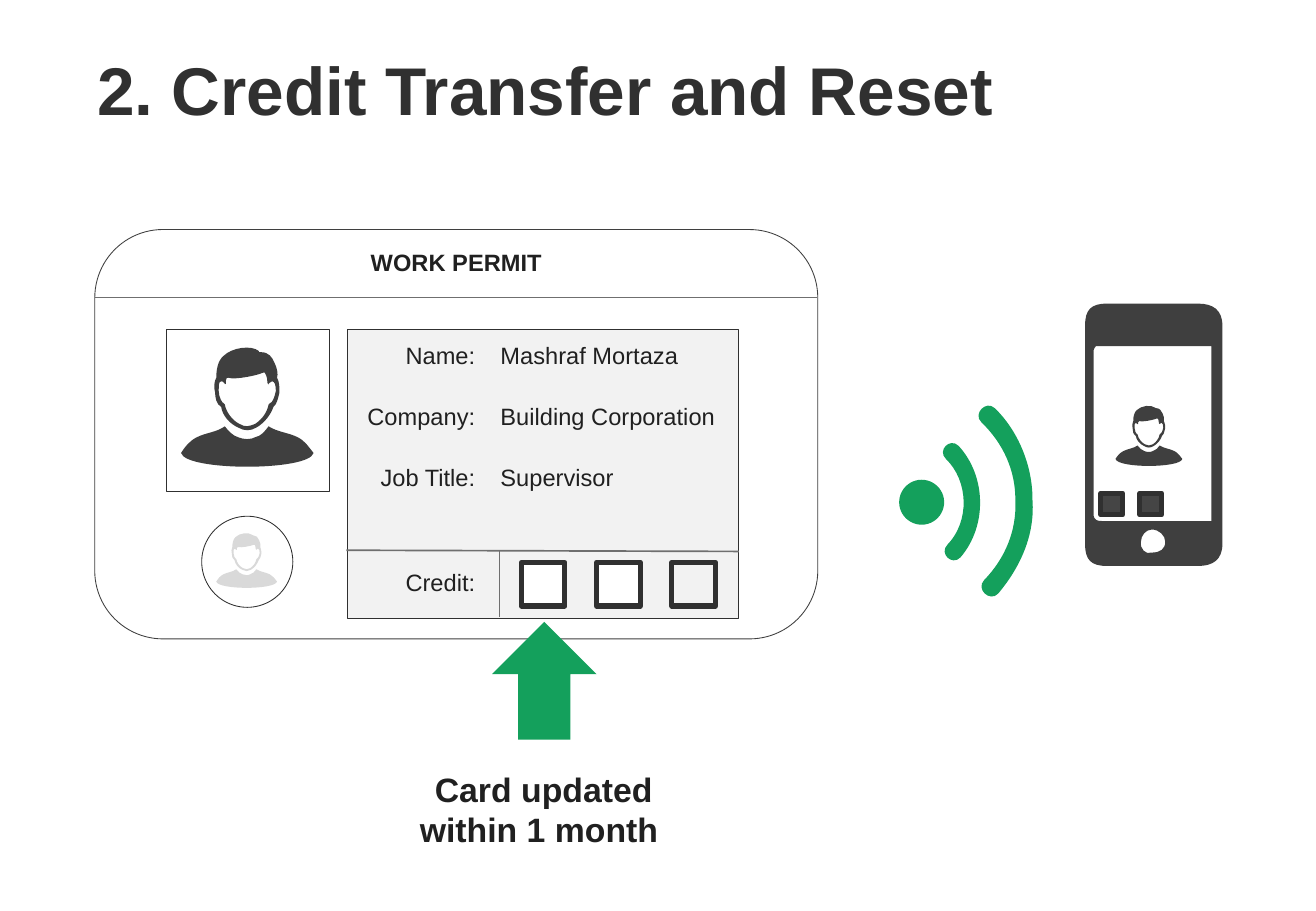
from lxml.etree import SubElement
from pptx import Presentation
from pptx.dml.color import RGBColor
from pptx.enum.shapes import MSO_CONNECTOR, MSO_SHAPE
from pptx.enum.text import MSO_ANCHOR, PP_ALIGN
from pptx.oxml.ns import qn
from pptx.util import Pt

PX = 9144
GREEN = RGBColor(0x14, 0xA0, 0x5C)
DARK = RGBColor(0x3F, 0x3F, 0x3F)
OUTLINE = RGBColor(0x30, 0x30, 0x30)
RULE = RGBColor(0x6F, 0x6F, 0x6F)
INK = RGBColor(0x20, 0x20, 0x20)
PANEL = RGBColor(0xF2, 0xF2, 0xF2)
PALE = RGBColor(0xD9, 0xD9, 0xD9)
USED = RGBColor(0x45, 0x45, 0x45)
WHITE = RGBColor(0xFF, 0xFF, 0xFF)

PERSON_WIDTH = 109
PERSON = [
    [(61, 76), (66, 75, 69, 71, 72, 67), (80, 72, 88, 72, 96, 76),
     (102, 79, 105, 84, 109, 89), (105, 104, 4, 104, 0, 89),
     (3, 84, 7, 79, 13, 76), (21, 72, 29, 72, 36, 67),
     (39, 71, 43, 75, 47, 76), (51, 78, 58, 78, 61, 76)],
    [(66, 6), (72, 6, 75, 10, 77, 15), (79, 19, 80, 24, 79, 27),
     (81, 30, 81, 36, 81, 39), (80, 43, 79, 49, 76, 51),
     (74, 57, 69, 64, 62, 68), (57, 71, 52, 71, 47, 68),
     (40, 65, 34, 58, 33, 51), (29, 49, 28, 43, 28, 39),
     (27, 36, 27, 30, 29, 27), (29, 21, 30, 13, 35, 9),
     (42, 2, 58, 0, 64, 5), (64, 6, 64, 6, 66, 6)],
    [(37, 29), (37, 27, 38, 27, 39, 27), (44, 29, 63, 25, 67, 23),
     (68, 23, 69, 22, 69, 23), (70, 24, 70, 24, 70, 25),
     (71, 27, 71, 29, 71, 31), (72, 33, 72, 33, 72, 32),
     (74, 30, 75, 30, 75, 30), (77, 30, 78, 33, 78, 38),
     (77, 43, 75, 48, 73, 48), (73, 48, 72, 48, 72, 49),
     (71, 55, 67, 61, 61, 65), (56, 67, 53, 68, 48, 65),
     (42, 62, 37, 55, 36, 49), (36, 48, 36, 48, 35, 48),
     (34, 48, 31, 43, 31, 38), (31, 33, 31, 30, 33, 30),
     (34, 30, 35, 30, 36, 32), (36, 32, 36, 33, 37, 32),
     (37, 32, 37, 30, 37, 29)],
]
PHONE = [
    [(893, 448), (893, 461, 898, 466, 911, 466), (936, 466, 961, 466, 986, 466),
     (998, 466, 1006, 461, 1006, 448), (1006, 387, 1006, 328, 1006, 268),
     (1006, 255, 998, 250, 986, 250), (961, 250, 936, 250, 911, 250),
     (898, 250, 893, 255, 893, 268), (893, 328, 893, 387, 893, 448)],
    [(948, 455), (943, 457, 938, 452, 939, 446), (939, 441, 943, 436, 948, 436),
     (954, 436, 959, 441, 959, 446), (959, 452, 955, 455, 948, 455)],
    [(900, 289), (900, 289, 900, 287, 902, 285), (932, 285, 964, 285, 997, 285),
     (997, 334, 997, 380, 997, 429), (995, 429, 993, 429, 991, 429),
     (963, 429, 936, 429, 907, 429), (904, 429, 900, 429, 900, 423),
     (900, 378, 900, 334, 900, 289)],
]
SIGNAL_ARCS = [
    [(748, 374), (774, 374, 798, 397, 798, 424), (798, 434, 813, 434, 813, 424),
     (811, 390, 782, 361, 748, 359), (738, 359, 738, 374, 748, 374)],
    [(748, 332), (773, 332, 796, 341, 813, 359), (831, 376, 840, 399, 840, 424),
     (840, 434, 856, 434, 856, 424), (854, 395, 844, 368, 823, 349),
     (803, 328, 774, 316, 748, 316), (738, 316, 738, 332, 748, 332)],
]


def paint(shape, fill=None, line=None, weight=0.5):
    """Set the fill and outline of a shape, with no shadow."""
    shape.shadow.inherit = False
    if fill is None:
        shape.fill.background()
    else:
        shape.fill.solid()
        shape.fill.fore_color.rgb = fill
    if line is None:
        shape.line.fill.background()
    else:
        shape.line.color.rgb = line
        shape.line.width = Pt(weight)


def add_box(shapes, kind, left, top, width, height, **style):
    """Add a preset shape."""
    box = shapes.add_shape(kind, left * PX, top * PX, width * PX, height * PX)
    paint(box, **style)


def add_rule(shapes, left, top, right, bottom):
    """Add a thin grey line."""
    rule = shapes.add_connector(MSO_CONNECTOR.STRAIGHT, left * PX, top * PX, right * PX, bottom * PX)
    rule.line.color.rgb = RULE
    rule.line.width = Pt(1)
    SubElement(rule._element.spPr, qn("a:effectLst"))


def add_text(shapes, words, left, top, width, height, size=14, color=INK, bold=False,
             align=PP_ALIGN.LEFT, anchor=MSO_ANCHOR.TOP):
    """Add a text box with one paragraph."""
    frame = shapes.add_textbox(left * PX, top * PX, width * PX, height * PX).text_frame
    frame.word_wrap = True
    frame.vertical_anchor = anchor
    para = frame.paragraphs[0]
    para.text = words
    para.alignment = align
    para.font.name = "Arial"
    para.font.size = Pt(size)
    para.font.bold = bold
    para.font.color.rgb = color


def bend(shape):
    """Turn each three line segments of a freeform into one cubic curve."""
    segments = list(shape._element.iter(qn("a:lnTo")))
    for first in range(0, len(segments), 3):
        parent = segments[first].getparent()
        curve = SubElement(parent, qn("a:cubicBezTo"))
        segments[first].addprevious(curve)
        for segment in segments[first:first + 3]:
            curve.append(segment[0])
            parent.remove(segment)


def add_outline(shapes, contours, fill, left=0, top=0, scale=1):
    """Add a filled freeform made of curved contours."""
    builder = None
    for contour in contours:
        numbers = [number for part in contour for number in part]
        points = [(round((left + x * scale) * PX), round((top + y * scale) * PX))
                  for x, y in zip(numbers[::2], numbers[1::2])]
        if builder is None:
            builder = shapes.build_freeform(*points[0])
        else:
            builder.move_to(*points[0])
        builder.add_line_segments(points[1:], close=True)
    outline = builder.convert_to_shape()
    bend(outline)
    paint(outline, fill=fill)


def add_person(shapes, left, top, width, fill):
    """Add a head-and-shoulders figure."""
    add_outline(shapes, PERSON, fill, left, top, width / PERSON_WIDTH)


def add_signal(shapes):
    """Add the wireless signal as a turned group."""
    signal = shapes.add_group_shape()
    add_box(signal.shapes, MSO_SHAPE.OVAL, 740, 395, 37, 37, fill=GREEN)
    for arc in SIGNAL_ARCS:
        add_outline(signal.shapes, [arc], GREEN)
    signal.rotation = 44


def add_phone(shapes):
    """Add the phone with a person and two credits on its screen."""
    add_outline(shapes, PHONE, DARK)
    add_person(shapes, 918, 333, 55, DARK)
    for column in range(2):
        add_box(shapes, MSO_SHAPE.RECTANGLE, 906 + 32 * column, 406, 18, 18,
                fill=USED, line=OUTLINE, weight=3)


def add_permit(shapes):
    """Add the work permit card."""
    add_box(shapes, MSO_SHAPE.ROUNDED_RECTANGLE, 78, 189, 595, 337, line=DARK)
    add_text(shapes, "WORK PERMIT", 262, 195, 227, 42, bold=True,
             align=PP_ALIGN.CENTER, anchor=MSO_ANCHOR.MIDDLE)
    add_rule(shapes, 78, 245, 672, 245)
    add_box(shapes, MSO_SHAPE.RECTANGLE, 286, 271, 322, 238, fill=PANEL, line=OUTLINE)
    add_person(shapes, 149, 284, 109, DARK)
    add_box(shapes, MSO_SHAPE.RECTANGLE, 137, 271, 134, 134, line=OUTLINE)
    add_person(shapes, 178, 438, 50, PALE)
    add_box(shapes, MSO_SHAPE.OVAL, 166, 425, 75, 75, line=OUTLINE)
    details = [("Name:", "Mashraf Mortaza"), ("Company:", "Building Corporation"),
               ("Job Title:", "Supervisor")]
    for row, (label, value) in enumerate(details):
        top = 276 + 50 * row
        add_text(shapes, label, 273, top, 128, 43, align=PP_ALIGN.RIGHT)
        add_text(shapes, value, 402, top, 211, 43)
    add_rule(shapes, 285, 453, 608, 454)
    add_rule(shapes, 411, 453, 411, 508)
    add_text(shapes, "Credit:", 273, 463, 128, 43, align=PP_ALIGN.RIGHT)
    for column, fill in enumerate((WHITE, WHITE, None)):
        add_box(shapes, MSO_SHAPE.RECTANGLE, 429 + 62 * column, 463, 36, 36,
                fill=fill, line=OUTLINE, weight=3)


def main():
    """Build the slide and save it."""
    deck = Presentation()
    deck.slide_width, deck.slide_height = 1083 * PX, 750 * PX
    shapes = deck.slides.add_slide(deck.slide_layouts[6]).shapes
    add_text(shapes, "2. Credit Transfer and Reset", 70, 35, 992, 89,
             size=40, color=OUTLINE, bold=True)
    add_signal(shapes)
    add_phone(shapes)
    add_permit(shapes)
    add_box(shapes, MSO_SHAPE.UP_ARROW, 405, 512, 86, 97, fill=GREEN)
    add_text(shapes, "Card updated within 1 month ", 333, 627, 229, 78, size=20,
             bold=True, align=PP_ALIGN.CENTER, anchor=MSO_ANCHOR.MIDDLE)
    deck.save("out.pptx")


if __name__ == "__main__":
    main()
